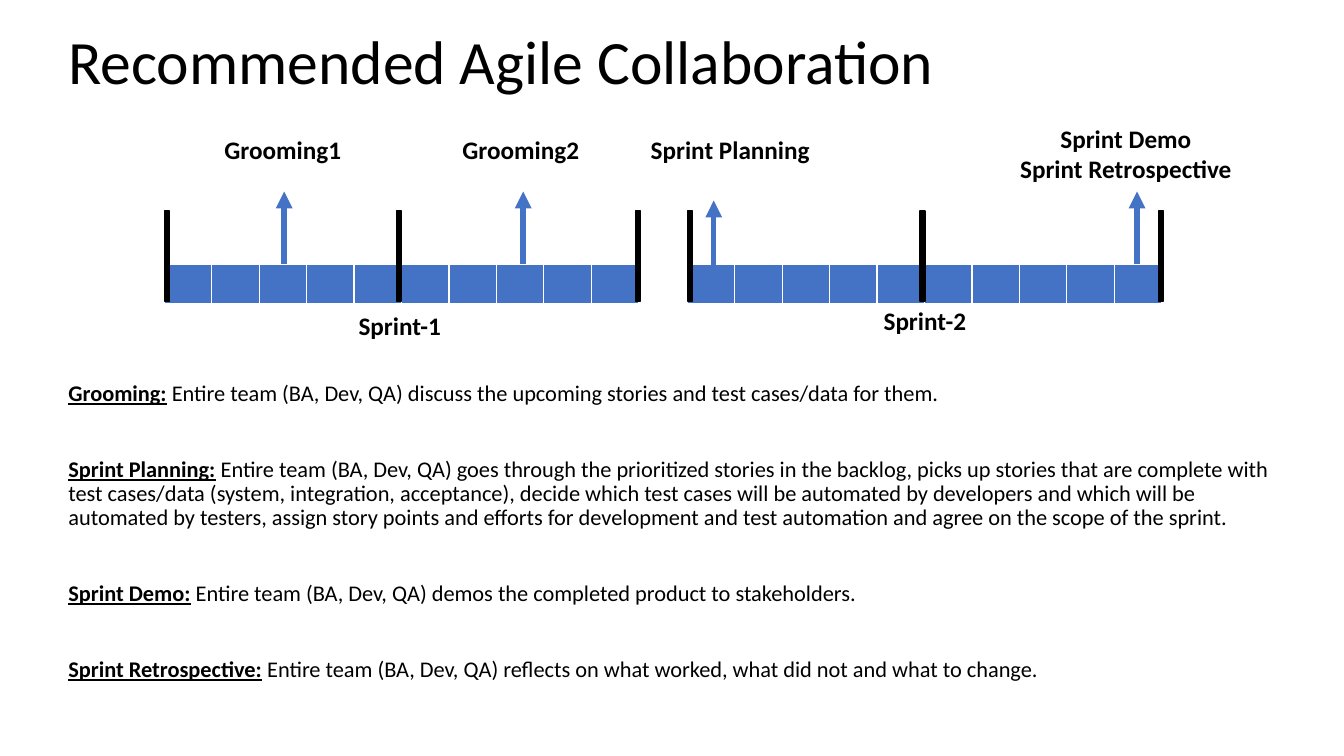
import pptx
import pptx.util
import pptx.dml.color
import pptx.enum.shapes
import pptx.enum.text
import pptx.oxml
import pptx.oxml.ns

Pt = pptx.util.Pt
Anchor = pptx.enum.text.MSO_ANCHOR
Align = pptx.enum.text.PP_ALIGN
Shape = pptx.enum.shapes.MSO_SHAPE
Link = pptx.enum.shapes.MSO_CONNECTOR

TITLE = "Recommended Agile Collaboration"
TERMS = [
    ("Grooming:", "Entire team (BA, Dev, QA) discuss the upcoming stories and test cases/data for them."),
    ("Sprint Planning:", "Entire team (BA, Dev, QA) goes through the prioritized stories in the backlog, "
     "picks up stories that are complete with test cases/data (system, integration, acceptance), "
     "decide which test cases will be automated by developers and which will be automated by testers, "
     "assign story points and efforts for development and test automation and agree on the scope of the sprint."),
    ("Sprint Demo:", "Entire team (BA, Dev, QA) demos the completed product to stakeholders."),
    ("Sprint Retrospective:", "Entire team (BA, Dev, QA) reflects on what worked, what did not and what to change."),
]
SPRINTS = [117.4, 491]
LABELS = [
    ("Grooming1", 202, 92.2, 99),
    ("Grooming2", 372, 92.2, 99),
    ("Sprint Planning", 521.6, 92.2, 129),
    ("Sprint Demo\nSprint Retrospective", 804.2, 84.2, 167),
    ("Sprint-1", 285.5, 218.2, 74),
    ("Sprint-2", 660.6, 214.6, 74),
]
ARROWS = [(203, 188.6), (373.7, 188.6), (509.8, 195.1), (812.2, 188.6)]
THEME = {
    "font": "Calibri", "ink": "000000", "bar": "4472C4", "edge": "FFFFFF",
    "title": 44, "label": 18, "body": 16,
}
DAYS = 10
DAY = 33.9
BAR_TOP, BAR_TALL = 188.6, 29.5
MARKS = [0, 166, 336.4]
RISE = 51.8

deck = pptx.Presentation()
deck.slide_width, deck.slide_height = Pt(960), Pt(540)
slide = deck.slides.add_slide(deck.slide_layouts[6])


def color(name):
    return pptx.dml.color.RGBColor.from_string(THEME[name])


def style(run, size, bold=False, under=False):
    font = run.font
    font.name, font.size = THEME["font"], Pt(THEME[size])
    font.bold, font.underline = bold, under
    font.color.rgb = color("ink")


def add_box(left, top, wide, tall, wrap=True):
    frame = slide.shapes.add_textbox(Pt(left), Pt(top), Pt(wide), Pt(tall)).text_frame
    frame.word_wrap = wrap
    return frame


def add_title():
    frame = add_box(41.8, -5.8, 828, 104.4)
    frame.vertical_anchor = Anchor.MIDDLE
    frame.text = TITLE
    frame.paragraphs[0].line_spacing = 0.9
    style(frame.paragraphs[0].runs[0], "title")


def add_terms():
    frame = add_box(41.8, 269.3, 880, 222.5)
    for i, (term, text) in enumerate(TERMS):
        para = frame.add_paragraph() if i else frame.paragraphs[0]
        para.line_spacing = 0.9
        para.space_before = Pt(37 if i else 10)
        for part, lead in ((term, True), (" " + text, False)):
            run = para.add_run()
            run.text = part
            style(run, "body", lead, lead)


def add_edge(cell, side, width):
    props = cell._tc.get_or_add_tcPr()
    props.append(pptx.oxml.parse_xml(
        f'<a:{side} {pptx.oxml.ns.nsdecls("a")} w="{Pt(width)}"><a:solidFill>'
        f'<a:srgbClr val="{THEME["edge"]}"/></a:solidFill></a:{side}>'))


def add_bar(left):
    table = slide.shapes.add_table(
        1, DAYS, Pt(left), Pt(BAR_TOP), Pt(DAY * DAYS), Pt(BAR_TALL)).table
    table.horz_banding = False
    for col in table.columns:
        col.width = Pt(DAY)
    for cell in table.rows[0].cells:
        for side, width in (("lnL", 1), ("lnR", 1), ("lnT", 1), ("lnB", 3)):
            add_edge(cell, side, width)
        cell.fill.solid()
        cell.fill.fore_color.rgb = color("bar")


def add_mark(left):
    mark = slide.shapes.add_shape(Shape.RECTANGLE, Pt(left), Pt(150.8), Pt(3.6), Pt(64.1))
    mark.shadow.inherit = False
    mark.fill.solid()
    mark.fill.fore_color.rgb = color("ink")
    mark.line.color.rgb = color("ink")
    mark.line.width = Pt(1)


def add_arrow(x, base):
    arrow = slide.shapes.add_connector(
        Link.STRAIGHT, Pt(x), Pt(base), Pt(x), Pt(base - RISE))
    arrow.line.color.rgb = color("bar")
    arrow.line.width = Pt(4)
    space = pptx.oxml.ns.nsdecls("a")
    arrow.line._get_or_add_ln().append(
        pptx.oxml.parse_xml(f'<a:tailEnd {space} type="triangle"/>'))
    arrow._element.spPr.append(pptx.oxml.parse_xml(f'<a:effectLst {space}/>'))


def add_label(text, mid, top, wide):
    frame = add_box(mid - wide / 2, top, wide, 29 + 22 * text.count("\n"), False)
    frame.text = text
    for para in frame.paragraphs:
        para.alignment = Align.CENTER
        style(para.runs[0], "label", True)


add_title()
add_terms()
for left in SPRINTS:
    add_bar(left)
    for shift in MARKS:
        add_mark(left + shift)
for arrow in ARROWS:
    add_arrow(*arrow)
for label in LABELS:
    add_label(*label)

deck.save("out.pptx")
